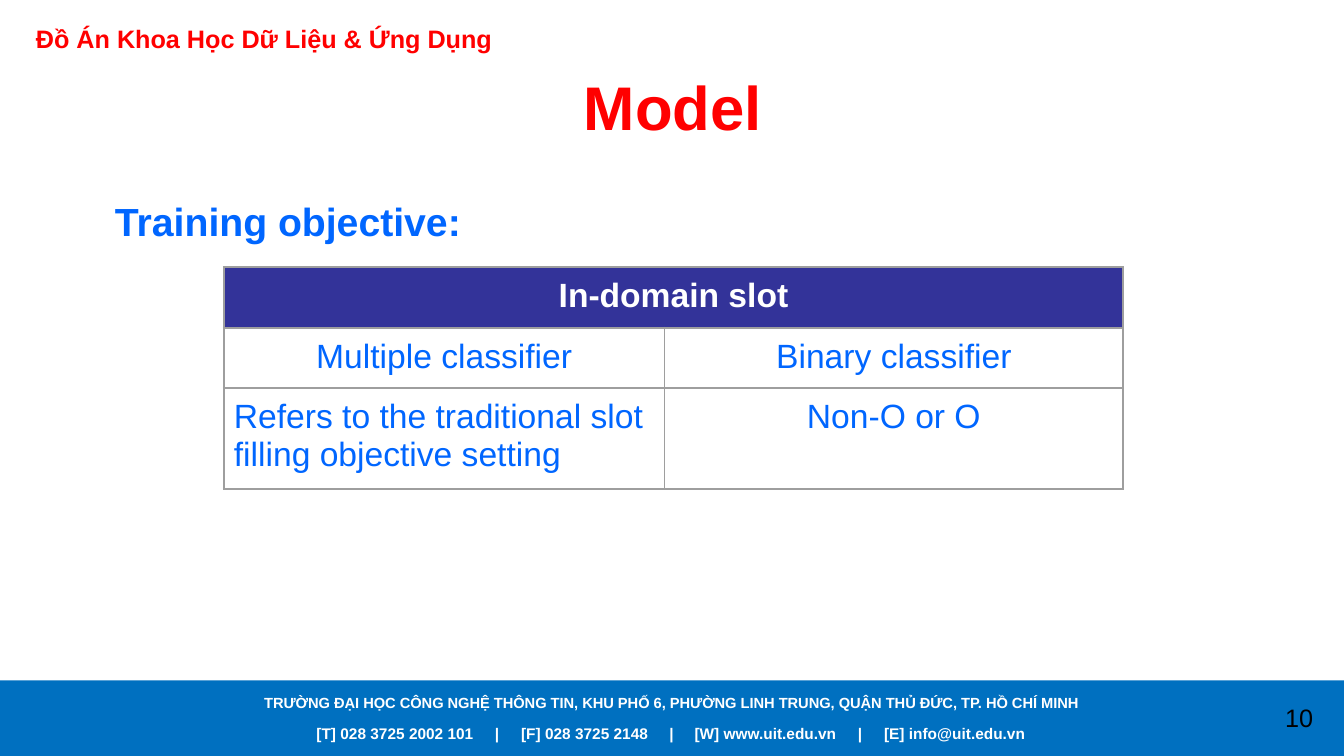
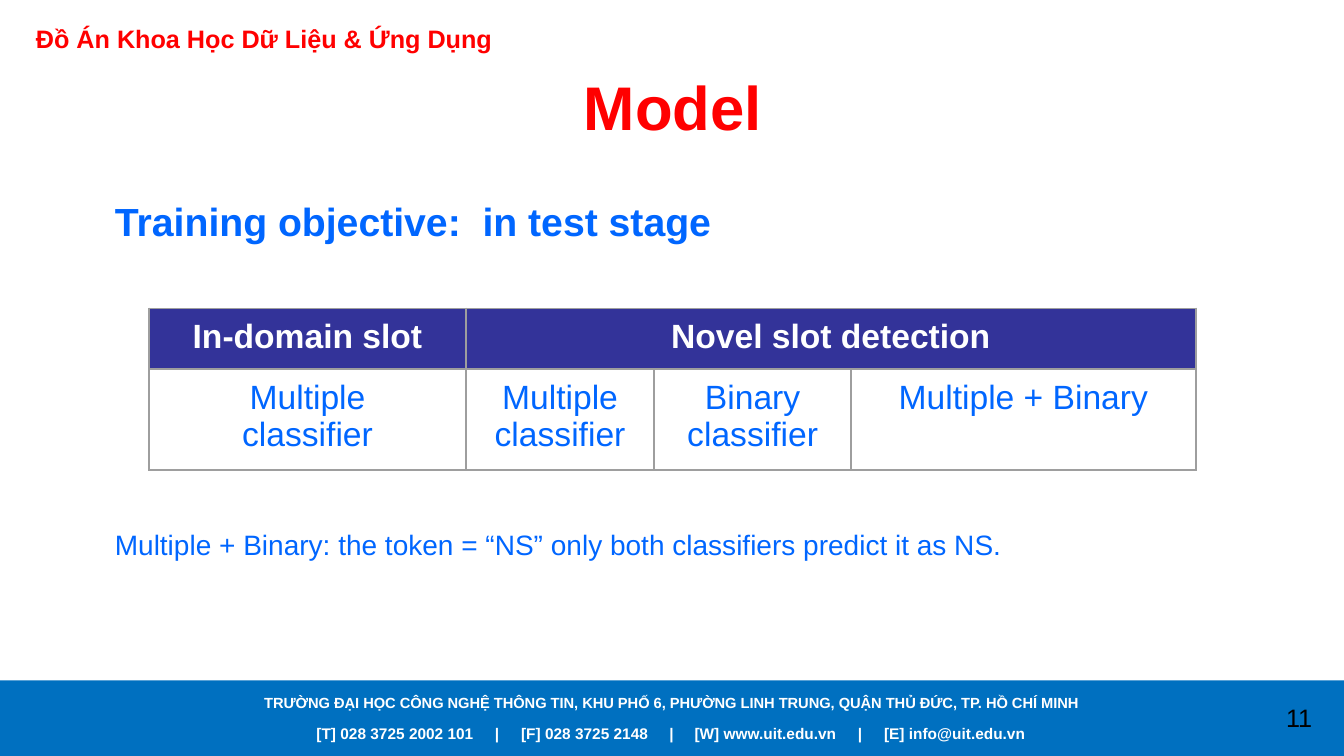
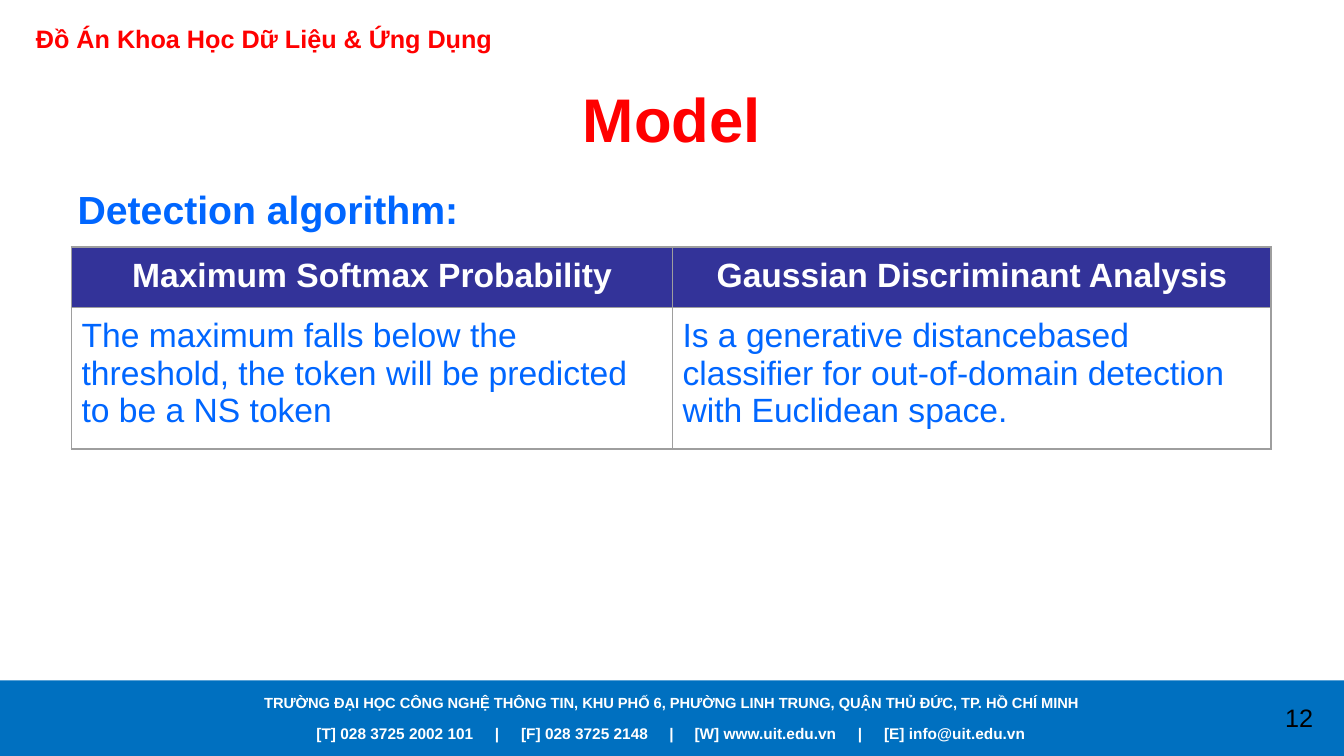
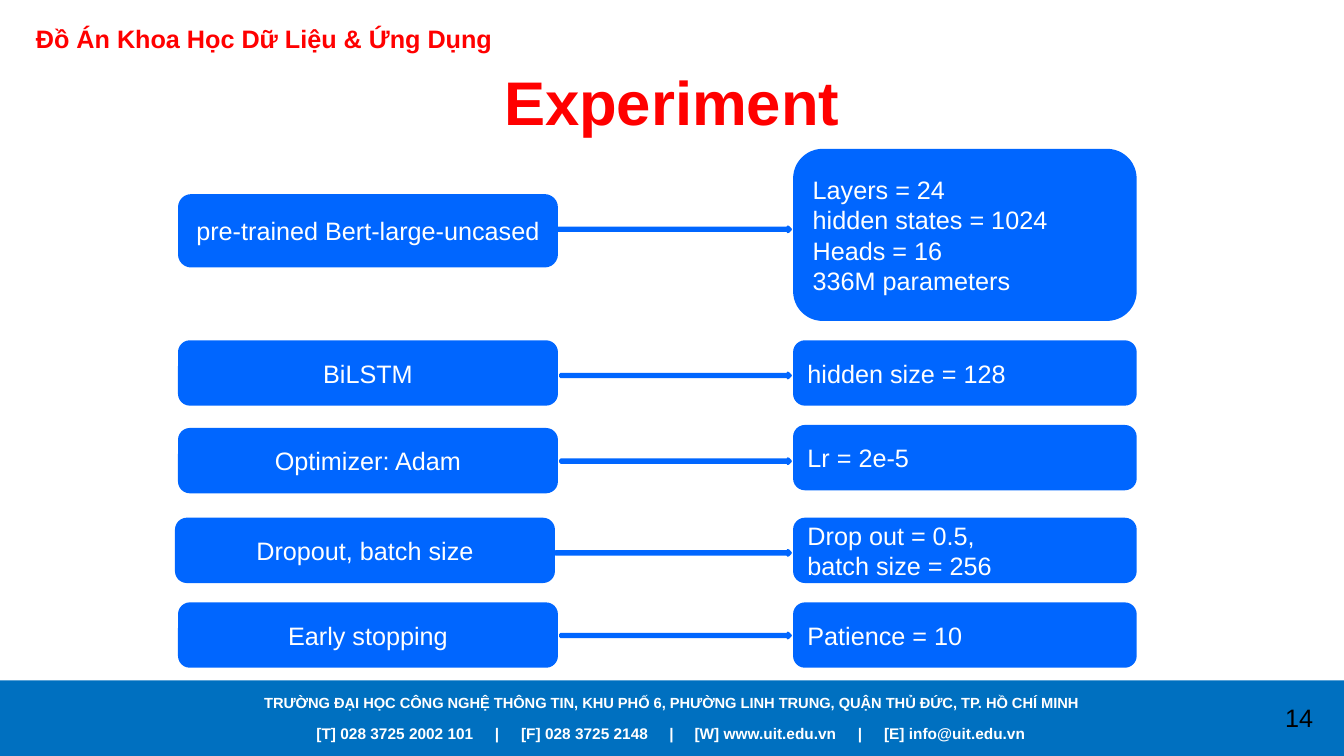
from lxml.etree import SubElement
from pptx import Presentation
from pptx.dml.color import RGBColor
from pptx.enum.shapes import MSO_SHAPE as SHAPE
from pptx.enum.text import MSO_ANCHOR as ANCHOR, MSO_AUTO_SIZE as AUTO, PP_ALIGN as ALIGN
from pptx.oxml.ns import qn
from pptx.util import Inches, Pt

COLORS = {
    "band": "0070C0",
    "blue": "0066FF",
    "head": "333399",
    "red": "FF0000",
    "grid": "9E9E9E",
    "white": "FFFFFF",
    "black": "000000",
}
FONT = "Arial"
WIDTH, HEIGHT = 13.33, 7.5
COURSE = "Đồ Án Khoa Học Dữ Liệu & Ứng Dụng"
ADDRESS = ("TRƯỜNG ĐẠI HỌC CÔNG NGHỆ THÔNG TIN, KHU PHỐ 6, "
           "PHƯỜNG LINH TRUNG, QUẬN THỦ ĐỨC, TP. HỒ CHÍ MINH")
CONTACTS = ["[T] 028 3725 2002 101", "[F] 028 3725 2148",
            "[W] www.uit.edu.vn", "[E] info@uit.edu.vn"]
CONTACT_TABS = [1.77, 2.03, 3.5, 3.75, 5.37, 5.63]


def rgb(name):
    return RGBColor.from_string(COLORS[name])


def write(tf, text, size=18, color="black", bold=False, align=ALIGN.LEFT,
          anchor=ANCHOR.TOP, before=0):
    tf.word_wrap = True
    tf.vertical_anchor = anchor
    for i, line in enumerate(text.split("\n")):
        p = tf.paragraphs[0] if i == 0 else tf.add_paragraph()
        p.alignment = align
        p.space_before = Pt(before)
        r = p.add_run()
        r.text = line
        r.font.name = FONT
        r.font.size = Pt(size)
        r.font.bold = bold
        r.font.color.rgb = rgb(color)


def set_borders(cell, color="grid", width=1.5):
    tcPr = cell._tc.get_or_add_tcPr()
    for i, side in enumerate(("lnL", "lnR", "lnT", "lnB")):
        ln = SubElement(tcPr, qn(f"a:{side}"), w=str(Pt(width)))
        fill = SubElement(ln, qn("a:solidFill"))
        SubElement(fill, qn("a:srgbClr"), val=COLORS[color])
        tcPr.insert(i, ln)


class Deck:
    def __init__(self):
        self.prs = Presentation()
        self.prs.slide_width = Inches(WIDTH)
        self.prs.slide_height = Inches(HEIGHT)
        self.s = None
        self.has_footer = False

    def slide(self, number, title, at, layout=1):
        self.s = self.prs.slides.add_slide(self.prs.slide_layouts[layout])
        if not self.has_footer:
            self.footer()
        self.place(self.s.shapes.title, at)
        write(self.s.shapes.title.text_frame, title, size=44, color="red",
              bold=True, align=ALIGN.CENTER, anchor=ANCHOR.MIDDLE)
        self.text(COURSE, (0, 0.13, 5.24, 0.5), inset=0.1, color="red",
                  bold=True, align=ALIGN.CENTER)
        self.text(str(number), (12.44, 6.92, 0.89, 0.4), align=ALIGN.CENTER)

    def footer(self):
        band = self.shape(SHAPE.RECTANGLE, (0, 6.75, WIDTH, 0.75), "band")
        band.line.fill.background()
        address = self.text(ADDRESS, (0, 6.83, WIDTH, 0.28), size=10.5,
                            color="white", bold=True, align=ALIGN.CENTER)
        contact = self.text("\t|\t".join(CONTACTS), (3.04, 7.13, 7.3, 0.29),
                            size=11, color="white", bold=True)
        pPr = contact.text_frame.paragraphs[0]._p.get_or_add_pPr()
        tabs = SubElement(pPr, qn("a:tabLst"))
        for x in CONTACT_TABS:
            SubElement(tabs, qn("a:tab"), pos=str(Inches(x)), algn="l")
        for sp in (band, address, contact):
            self.prs.slide_master.shapes.element.append(sp.element)
        self.has_footer = True

    def place(self, sp, at):
        sp.left, sp.top, sp.width, sp.height = map(Inches, at)
        sp.text_frame.auto_size = AUTO.NONE

    def body(self, text, at):
        sp = self.s.placeholders[1]
        self.place(sp, at)
        write(sp.text_frame, text, size=28, color="blue", bold=True, before=5.6)
        pPr = sp.text_frame.paragraphs[0]._p.get_or_add_pPr()
        pPr.set("marL", "0")
        pPr.set("indent", "0")
        SubElement(pPr, qn("a:buNone"))

    def text(self, text, at, inset=0.05, **fmt):
        sp = self.s.shapes.add_textbox(*map(Inches, at))
        tf = sp.text_frame
        tf.margin_top = tf.margin_bottom = Inches(inset)
        write(tf, text, **fmt)
        return sp

    def shape(self, kind, at, color="blue"):
        sp = self.s.shapes.add_shape(kind, *map(Inches, at))
        sp.shadow.inherit = False
        sp.fill.solid()
        sp.fill.fore_color.rgb = rgb(color)
        sp.line.color.rgb = rgb(color)
        sp.line.width = Pt(2)
        return sp

    def box(self, text, at, align=ALIGN.LEFT):
        sp = self.shape(SHAPE.ROUNDED_RECTANGLE, at)
        write(sp.text_frame, text, color="white", align=align,
              anchor=ANCHOR.MIDDLE)

    def arrow(self, x, y, end=7.84):
        self.shape(SHAPE.RIGHT_ARROW, (x, y, end - x, 0.05))

    def table(self, rows, left, top, widths, heights, merge_from=None,
              left_aligned=()):
        frame = self.s.shapes.add_table(
            len(rows), len(widths), Inches(left), Inches(top),
            Inches(sum(widths)), Inches(sum(heights)))
        tbl = frame.table
        tbl.first_row = tbl.horz_banding = False
        for col, w in zip(tbl.columns, widths):
            col.width = Inches(w)
        for row, h in zip(tbl.rows, heights):
            row.height = Inches(h)
        for i, texts in enumerate(rows):
            head = i == 0
            for j, text in enumerate(texts):
                cell = tbl.cell(i, j)
                cell.margin_top = cell.margin_bottom = Inches(0.1)
                if head:
                    cell.fill.solid()
                    cell.fill.fore_color.rgb = rgb("head")
                else:
                    cell.fill.background()
                set_borders(cell)
                if text:
                    align = ALIGN.LEFT if (i, j) in left_aligned else ALIGN.CENTER
                    write(cell.text_frame, text, size=24, bold=head, align=align,
                          color="white" if head else "blue")
        if merge_from is not None:
            tbl.cell(0, merge_from).merge(tbl.cell(0, len(widths) - 1))


def main():
    deck = Deck()

    deck.slide(10, "Model", (5.48, 0.57, 2.39, 0.96))
    deck.body("Training objective:", (1.04, 1.91, 3.75, 0.61))
    deck.table([["In-domain slot", ""],
                ["Multiple classifier", "Binary classifier"],
                ["Refers to the traditional slot filling objective setting",
                 "Non-O or O"]],
               2.22, 2.65, [4.37, 4.55], [0.57, 0.57, 0.94],
               merge_from=0, left_aligned=[(2, 0)])

    deck.slide(11, "Model", (5.48, 0.57, 2.39, 0.96))
    deck.body("Training objective:  in test stage", (1.04, 1.91, 7.89, 0.61))
    deck.table([["In-domain slot", "Novel slot detection", "", ""],
                ["Multiple\nclassifier", "Multiple classifier",
                 "Binary\nclassifier", "Multiple + Binary"]],
               1.48, 3.06, [3.14, 1.87, 1.95, 3.42], [0.57, 0.94],
               merge_from=1)
    deck.text("Multiple + Binary: the token = “NS” only both classifiers "
              "predict it as NS.", (1.04, 5.18, 9.69, 0.77),
              size=20, color="blue")

    deck.slide(12, "Model", (5.37, 0.71, 2.59, 0.92))
    deck.body("Detection algorithm:", (0.67, 1.79, 4.19, 0.66))
    deck.table([["Maximum Softmax Probability", "Gaussian Discriminant Analysis"],
                ["The maximum falls below the threshold, the token will be "
                 "predicted to be a NS token",
                 "Is a generative distancebased classifier for out-of-domain "
                 "detection with Euclidean space."]],
               0.71, 2.45, [5.96, 5.94], [0.57, 1.31],
               left_aligned=[(1, 0), (1, 1)])

    deck.slide(14, "Experiment", (4.15, 0.38, 5.03, 1.25), layout=5)
    settings = [
        ("pre-trained Bert-large-uncased", (1.78, 1.94, 3.74, 0.7),
         "Layers = 24\nhidden states = 1024\nHeads = 16\n336M parameters",
         (7.88, 1.49, 3.38, 1.68), (5.49, 2.25)),
        ("BiLSTM", (1.78, 3.39, 3.74, 0.62),
         "hidden size = 128", (7.88, 3.39, 3.38, 0.62), (5.56, 3.7)),
        ("Optimizer: Adam", (1.78, 4.26, 3.74, 0.62),
         "Lr = 2e-5", (7.88, 4.23, 3.38, 0.62), (5.56, 4.55)),
        ("Dropout, batch size", (1.75, 5.15, 3.74, 0.62),
         "Drop out = 0.5,\nbatch size = 256", (7.88, 5.15, 3.38, 0.62),
         (5.51, 5.46)),
        ("Early stopping", (1.78, 5.99, 3.74, 0.62),
         "Patience = 10", (7.88, 5.99, 3.38, 0.62), (5.56, 6.28)),
    ]
    for part, part_at, value, value_at, arrow_at in settings:
        deck.box(part, part_at, align=ALIGN.CENTER)
        deck.box(value, value_at)
        deck.arrow(*arrow_at)

    deck.prs.save("out.pptx")


if __name__ == "__main__":
    main()
